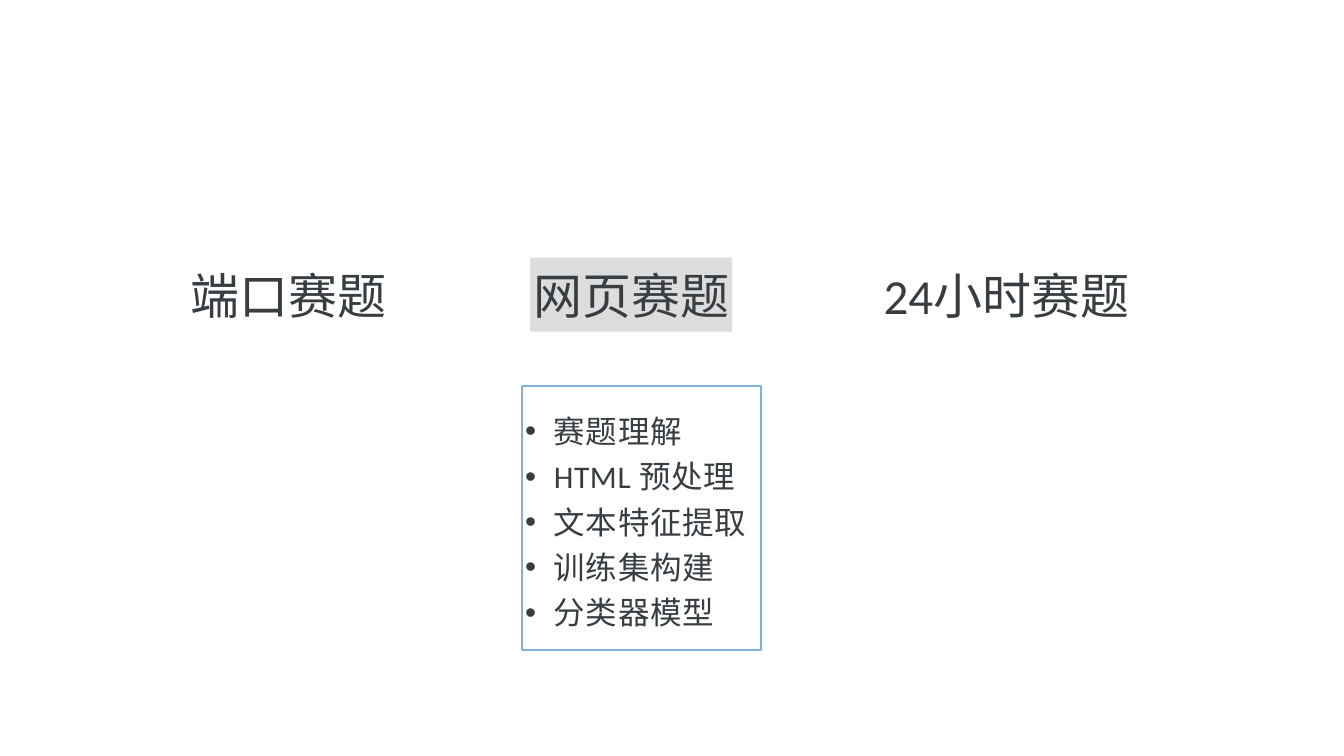
from dataclasses import dataclass

from lxml.etree import SubElement
from pptx import Presentation
from pptx.dml.color import RGBColor
from pptx.enum.shapes import MSO_SHAPE
from pptx.enum.text import MSO_ANCHOR, MSO_AUTO_SIZE, PP_ALIGN
from pptx.oxml.ns import qn
from pptx.util import Inches, Pt


@dataclass(frozen=True)
class Theme:
    font: str = "Calibri"
    text: RGBColor = RGBColor(0x37, 0x3D, 0x41)
    plain: RGBColor = RGBColor(0xFF, 0xFF, 0xFF)
    active: RGBColor = RGBColor(0xDD, 0xDD, 0xDD)
    outline: RGBColor = RGBColor(0x81, 0xB2, 0xDF)
    title_size: int = 70
    list_size: int = 45


THEME = Theme()
SLIDE_W, SLIDE_H = 26.67, 15
FRAME = {
    "margin_left": Inches(0.06), "margin_right": Inches(0.06),
    "margin_top": Inches(0.06), "margin_bottom": Inches(0.06),
    "vertical_anchor": MSO_ANCHOR.MIDDLE,
    "word_wrap": False,
    "auto_size": MSO_AUTO_SIZE.SHAPE_TO_FIT_TEXT,
}

# Topic title, left edge, width
TAB_TOP, TAB_H = 5.11, 1.47
TABS = [("端口赛题", 3.72, 4.01), ("网页赛题", 10.52, 4.01), ("24小时赛题", 17.42, 5.1)]
ACTIVE_TAB = 1
STEPS = ["赛题理解", "HTML 预处理", "文本特征提取", "训练集构建", "分类器模型"]
STEPS_BOX = (10.36, 7.66, 4.75, 5.23)


def set_attrs(obj, values):
    for name, value in values.items():
        setattr(obj, name, value)


def add_box(s, box):
    sp = s.shapes.add_shape(MSO_SHAPE.RECTANGLE, *map(Inches, box))
    sp.shadow.inherit = False
    set_attrs(sp.text_frame, FRAME)
    return sp


def add_run(p, text, size):
    r = p.add_run()
    r.text = text
    set_attrs(r.font, {"name": THEME.font, "size": Pt(size)})
    r.font.color.rgb = THEME.text
    return r


def add_tab(s, box, title, fill):
    sp = add_box(s, box)
    sp.fill.solid()
    sp.fill.fore_color.rgb = fill
    sp.line.fill.background()
    p = sp.text_frame.paragraphs[0]
    p.alignment = PP_ALIGN.CENTER
    add_run(p, title, THEME.title_size)


def add_steps(s, box, steps):
    sp = add_box(s, box)
    sp.fill.background()
    sp.line.color.rgb = THEME.outline
    sp.line.width = Pt(3)
    tf = sp.text_frame
    for i, step in enumerate(steps):
        p = tf.add_paragraph() if i else tf.paragraphs[0]
        set_attrs(p, {"alignment": PP_ALIGN.LEFT, "line_spacing": 1.2})
        r = add_run(p, step, THEME.list_size)
        r.font._element.set("spc", "90")
        # Hanging bullet
        pPr = p._p.get_or_add_pPr()
        indent = Inches(0.57)
        pPr.set("marL", str(indent))
        pPr.set("indent", str(-indent))
        SubElement(pPr, qn("a:buFont"), typeface="Arial")
        SubElement(pPr, qn("a:buChar"), char="•")


def main():
    prs = Presentation()
    prs.slide_width, prs.slide_height = Inches(SLIDE_W), Inches(SLIDE_H)
    s = prs.slides.add_slide(prs.slide_layouts[6])

    # Topic row, with the current topic shaded
    for i, (title, left, width) in enumerate(TABS):
        fill = THEME.active if i == ACTIVE_TAB else THEME.plain
        add_tab(s, (left, TAB_TOP, width, TAB_H), title, fill)

    # Steps of the current topic
    add_steps(s, STEPS_BOX, STEPS)

    prs.save("out.pptx")


if __name__ == "__main__":
    main()
